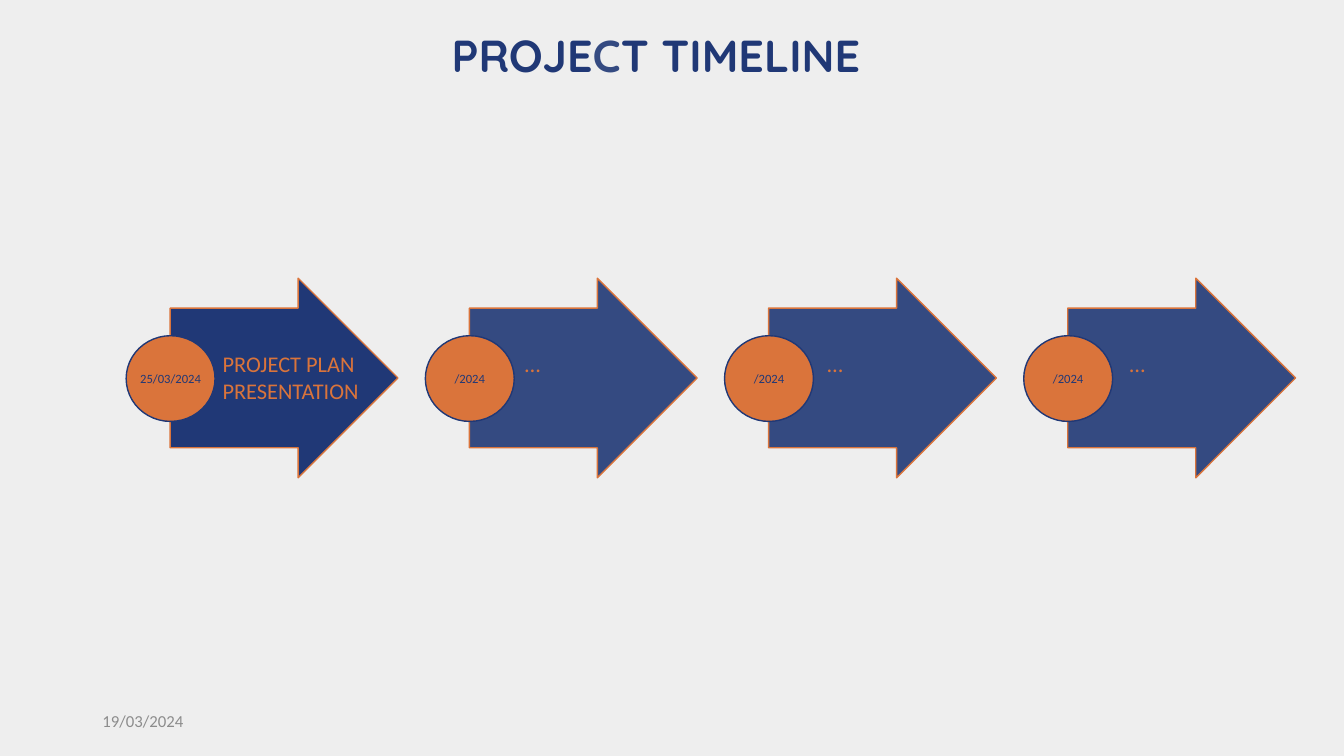
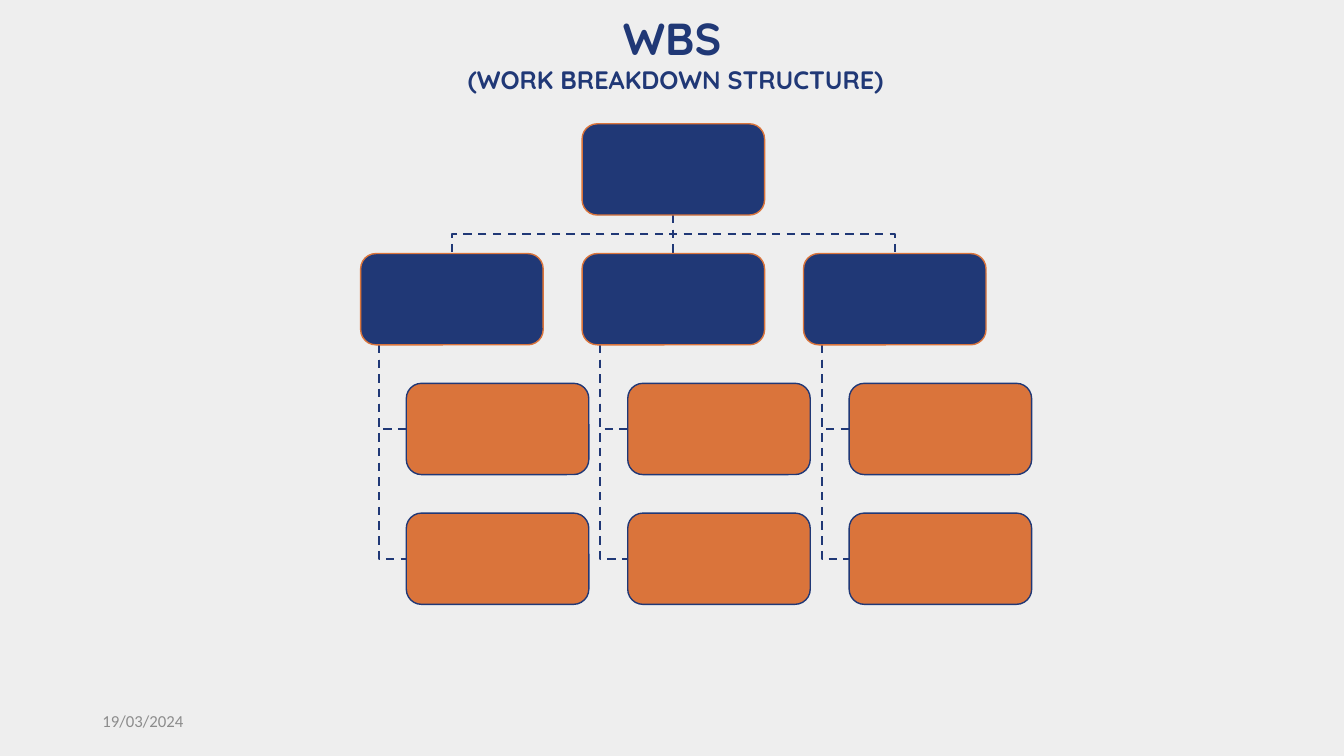
from pptx import Presentation
from pptx.dml.color import RGBColor
from pptx.enum.dml import MSO_LINE
from pptx.enum.shapes import MSO_SHAPE
from pptx.enum.text import MSO_ANCHOR, PP_ALIGN
from pptx.util import Cm, Pt

NAVY = RGBColor(0x20, 0x38, 0x76)
SOFT = RGBColor(0x34, 0x4A, 0x81)
ORANGE = RGBColor(0xDA, 0x74, 0x3B)
GREY = RGBColor(0x8C, 0x8C, 0x8C)
PAPER = RGBColor(0xEE, 0xEE, 0xEE)
HEAD = "Quicksand"
BODY = "Calibri"


def write(slide, x, y, w, h, lines, color, font=BODY, align=PP_ALIGN.LEFT):
    frame = slide.shapes.add_textbox(Cm(x), Cm(y), Cm(w), Cm(h)).text_frame
    frame.word_wrap = True
    frame.text = "\n".join(line for line, size in lines)
    for para, (line, size) in zip(frame.paragraphs, lines):
        para.alignment = align
        para.font.name = font
        para.font.size = Pt(size)
        para.font.bold = font == HEAD
        para.font.color.rgb = color
    return frame


def draw(slide, kind, x, y, w, h, fill, edge):
    shape = slide.shapes.add_shape(kind, Cm(x), Cm(y), Cm(w), Cm(h))
    shape.shadow.inherit = False
    shape.fill.solid()
    shape.fill.fore_color.rgb = fill
    shape.line.color.rgb = edge
    shape.line.width = Pt(1)
    return shape


deck = Presentation()
deck.slide_width = Cm(33.87)
deck.slide_height = Cm(19.05)
back = deck.slide_master.background.fill
back.solid()
back.fore_color.rgb = PAPER

blank = deck.slide_layouts[6]
plan, tree = [deck.slides.add_slide(blank) for _ in range(2)]
for slide in (plan, tree):
    foot = write(slide, 2.33, 17.66, 7.62, 1.01, [("19/03/2024", 12)], GREY)
    foot.vertical_anchor = MSO_ANCHOR.MIDDLE

steps = [
    ("25/03/2024", "PROJECT PLAN PRESENTATION", NAVY),
    ("/2024", "…", SOFT),
    ("/2024", "…", SOFT),
    ("/2024", "…", SOFT),
]
for i, (date, label, fill) in enumerate(steps):
    x = 3.18 + 7.54 * i
    arrow = draw(plan, MSO_SHAPE.RIGHT_ARROW, x + 1.11, 7.01, 5.74, 5.03, fill, ORANGE)
    arrow.adjustments[0] = 0.7
    arrow.adjustments[1] = 0.5
    disc = draw(plan, MSO_SHAPE.OVAL, x, 8.46, 2.24, 2.16, ORANGE, NAVY)
    frame = disc.text_frame
    frame.margin_left = frame.margin_right = 0
    frame.word_wrap = False
    frame.text = date
    para = frame.paragraphs[0]
    para.alignment = PP_ALIGN.CENTER
    para.font.name = BODY
    para.font.size = Pt(9)
    para.font.color.rgb = NAVY
    write(plan, 5.36 + 7.62 * i, 8.71, 3.99, 0.94, [(label, 16)], ORANGE)

title = write(plan, 11.13, 0.58, 11.68, 1.63, [("PROJE", 32)], NAVY, HEAD).paragraphs[0]
run = title.add_run()
run.text = "C"
run.font.color.rgb = SOFT
title.add_run().text = "T TIMELINE"

write(tree, 10.69, 0.15, 12.5, 2.39,
      [("WBS", 32), (" (WORK BREAKDOWN STRUCTURE)", 18)],
      NAVY, HEAD, PP_ALIGN.CENTER)

wide, high = 4.6, 2.3
cols = [9.09 + 5.58 * i for i in range(3)]
rows = [3.12 + 3.27 * i for i in range(4)]
shift = 1.15
mid = cols[1] + wide / 2
base = rows[0] + high
bend = (base + rows[1]) / 2

routes = []
for x in cols:
    top = x + wide / 2
    if x == cols[1]:
        routes.append([(mid, base), (mid, rows[1])])
    else:
        routes.append([(mid, base), (mid, bend), (top, bend), (top, rows[1])])
    stem = x + 0.46
    for y in rows[2:]:
        level = y + high / 2
        routes.append([(stem, rows[1] + high), (stem, level), (x + shift, level)])

for route in routes:
    first, *rest = [(Cm(x), Cm(y)) for x, y in route]
    pen = tree.shapes.build_freeform(*first)
    pen.add_line_segments(rest, close=False)
    link = pen.convert_to_shape()
    link.shadow.inherit = False
    link.fill.background()
    link.line.color.rgb = NAVY
    link.line.width = Pt(1.5)
    link.line.dash_style = MSO_LINE.DASH

boxes = [(cols[1], rows[0], NAVY, ORANGE)]
for x in cols:
    boxes.append((x, rows[1], NAVY, ORANGE))
    boxes += [(x + shift, y, ORANGE, NAVY) for y in rows[2:]]
for x, y, fill, edge in boxes:
    draw(tree, MSO_SHAPE.ROUNDED_RECTANGLE, x, y, wide, high, fill, edge)

deck.save("out.pptx")
